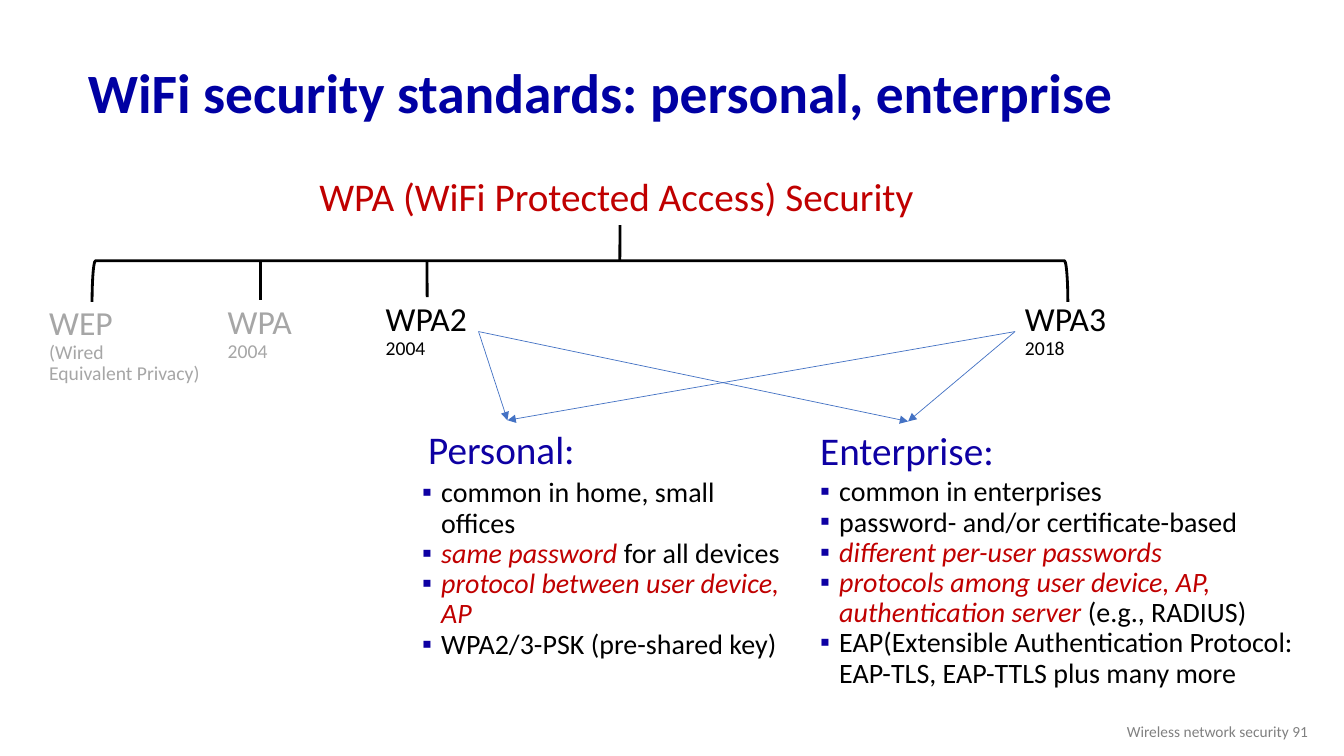
from lxml import etree
from pptx import Presentation
from pptx.dml.color import RGBColor
from pptx.enum import shapes, text
from pptx.oxml.ns import qn
from pptx.util import Cm, Pt

FONT = "Calibri"
NAVY = RGBColor(0x00, 0x00, 0xA3)
INDIGO = RGBColor(0x0E, 0x00, 0xA3)
RED = RGBColor(0xC0, 0x00, 0x00)
BLACK = RGBColor(0x00, 0x00, 0x00)
FADED = RGBColor(0xA6, 0xA6, 0xA6)
GRAY = RGBColor(0x80, 0x80, 0x80)
BLUE = RGBColor(0x44, 0x72, 0xC4)

# Each standard: name, detail lines, colour, box in cm
STANDARDS = [
    ("WEP", ["(Wired", "Equivalent Privacy)"], FADED, (0.99, 7.59, 4.34, 2.26)),
    ("WPA", ["2004"], FADED, (5.49, 7.57, 2.16, 1.73)),
    ("WPA2", ["2004"], BLACK, (9.47, 7.49, 2.59, 1.73)),
    ("WPA3", ["2018"], BLACK, (25.58, 7.49, 2.59, 1.73)),
]

# Each point is a list of runs; True marks an emphasised run
PERSONAL = [
    [("common in home, small offices", False)],
    [("same password ", True), ("for all devices", False)],
    [("protocol between user device, AP", True)],
    [("WPA2/3-PSK (pre-shared key)", False)],
]
ENTERPRISE = [
    [("common in enterprises", False)],
    [("password- and/or certificate-based", False)],
    [("different per-user passwords", True)],
    [("protocols among user device, AP, authentication server ", True),
     ("(e.g., RADIUS)", False)],
    [("EAP(Extensible Authentication Protocol: EAP-TLS, EAP-TTLS plus many more", False)],
]


def add_run(paragraph, words, size, color, bold=False, italic=False):
    run = paragraph.add_run()
    run.text = words
    font = run.font
    font.name, font.size, font.bold, font.italic = FONT, Pt(size), bold, italic
    font.color.rgb = color


def add_textbox(slide, box, wrap=False):
    label = slide.shapes.add_textbox(*map(Cm, box))
    label.text_frame.word_wrap = wrap
    label.text_frame.auto_size = text.MSO_AUTO_SIZE.SHAPE_TO_FIT_TEXT
    return label


def next_paragraph(frame, index):
    return frame.paragraphs[0] if index == 0 else frame.add_paragraph()


def add_line(slide, start, end, color, width, arrow=False):
    line = slide.shapes.add_connector(
        shapes.MSO_CONNECTOR.STRAIGHT, *map(Cm, start + end))
    line.line.color.rgb = color
    line.line.width = Pt(width)
    if arrow:
        etree.SubElement(line.line._get_or_add_ln(), qn("a:tailEnd"), type="triangle")
    etree.SubElement(line._element.spPr, qn("a:effectLst"))
    return line


def add_title(slide, box):
    title = slide.shapes.title
    title.left, title.top, title.width, title.height = map(Cm, box)
    frame = title.text_frame
    frame.vertical_anchor = text.MSO_ANCHOR.MIDDLE
    paragraph = frame.paragraphs[0]
    paragraph.alignment = text.PP_ALIGN.LEFT
    paragraph.line_spacing = 0.9
    add_run(paragraph, "WiFi security standards: personal, enterprise", 39.6, NAVY, bold=True)


def add_standard(slide, name, details, color, box):
    label = add_textbox(slide, box)
    for i, words in enumerate([name] + details):
        paragraph = next_paragraph(label.text_frame, i)
        paragraph.line_spacing = 0.9
        add_run(paragraph, words, 14 if i else 24, color)
    return label


def add_family_tree(slide, box):
    """Draw the heading, the bracket filling the box and the standards; return their labels."""
    left, top, width, height = box
    family = add_textbox(slide, (7.8, 4.22, 15.65, 1.45))
    add_run(family.text_frame.paragraphs[0], "WPA (WiFi Protected Access) Security", 28, RED)

    # The bracket lies on its side, so its width and height swap about the centre
    bracket = slide.shapes.add_shape(
        shapes.MSO_SHAPE.LEFT_BRACKET,
        Cm(left + (width - height) / 2), Cm(top + (height - width) / 2),
        Cm(height), Cm(width))
    bracket.rotation = 90
    bracket.shadow.inherit = False
    bracket.fill.background()
    bracket.line.color.rgb = BLACK
    bracket.line.width = Pt(2)

    trunk = add_line(slide, (15.62, 5.67), (15.62, top), BLACK, 2)
    trunk.begin_connect(family, 2)

    labels = {standard[0]: add_standard(slide, *standard) for standard in STANDARDS}
    for name, x in (("WPA", 6.57), ("WPA2", 10.76)):
        branch = add_line(slide, (x, top), (x, top + height), BLACK, 2)
        branch.end_connect(labels[name], 0)
    return labels


def add_mode(slide, heading, heading_box, points, points_box, heading_wrap, sources):
    """Place a mode with its bullet points and an arrow from each source standard."""
    mode = add_textbox(slide, heading_box, heading_wrap)
    add_run(mode.text_frame.paragraphs[0], heading, 28, INDIGO)

    details = add_textbox(slide, points_box, wrap=True)
    for i, runs in enumerate(points):
        paragraph = next_paragraph(details.text_frame, i)
        paragraph.line_spacing = 0.9
        add_bullet(paragraph)
        for words, emphasised in runs:
            add_run(paragraph, words, 20, RED if emphasised else BLACK, italic=emphasised)

    for standard, side in sources:
        arrow = add_line(slide, (0, 0), (1, 1), BLUE, 0.5, arrow=True)
        arrow.begin_connect(standard, side)
        arrow.end_connect(mode, 0)


def add_bullet(paragraph):
    properties = paragraph._p.get_or_add_pPr()
    properties.set("marL", str(Cm(0.48)))
    properties.set("indent", str(-Cm(0.48)))
    color = etree.SubElement(properties, qn("a:buClr"))
    etree.SubElement(color, qn("a:srgbClr"), val=str(INDIGO))
    etree.SubElement(properties, qn("a:buFont"), typeface="Wingdings")
    properties[-1].set("typeface", "Arial")
    etree.SubElement(properties, qn("a:buChar"), char="▪")


def add_footer(slide, box):
    footer = slide.shapes.add_textbox(*map(Cm, box))
    footer.text_frame.word_wrap = True
    footer.text_frame.vertical_anchor = text.MSO_ANCHOR.MIDDLE
    paragraph = footer.text_frame.paragraphs[0]
    paragraph.alignment = text.PP_ALIGN.RIGHT
    add_run(paragraph, "Wireless network security 91", 11, GRAY)


def main():
    deck = Presentation()
    deck.slide_width, deck.slide_height = Cm(33.87), Cm(19.05)
    slide = deck.slides.add_slide(deck.slide_layouts[5])

    add_title(slide, (1.96, 1.17, 29.21, 2.49))
    standards = add_family_tree(slide, (2.32, 6.57, 24.59, 1.04))
    sources = [(standards["WPA2"], 3), (standards["WPA3"], 1)]
    add_mode(slide, "Personal:", (10.54, 10.59, 4.5, 1.45),
             PERSONAL, (10.39, 11.94, 9.7, 4.88), True, sources)
    add_mode(slide, "Enterprise:", (20.42, 10.62, 4.93, 1.45),
             ENTERPRISE, (20.42, 11.91, 12.55, 5.64), False, sources)
    add_footer(slide, (25.6, 17.91, 7.62, 1.02))
    deck.save("out.pptx")


if __name__ == "__main__":
    main()
